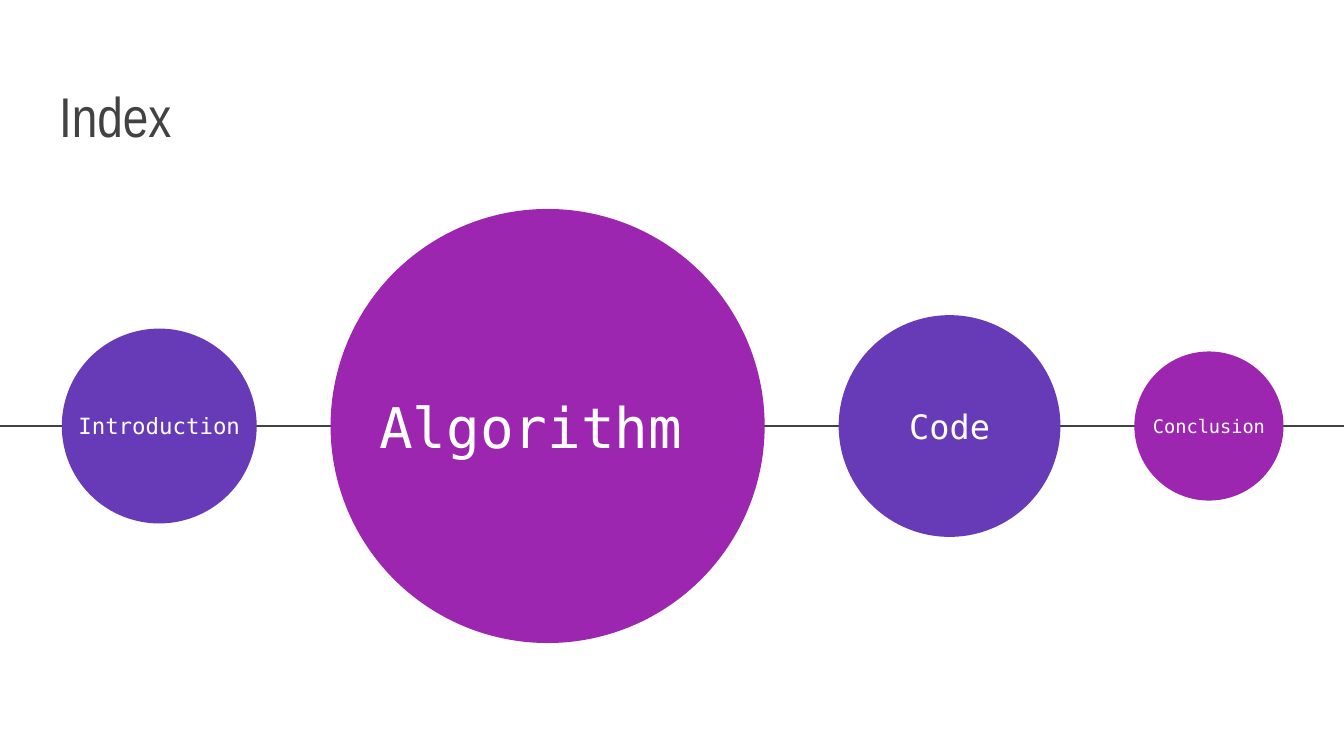
from dataclasses import dataclass

from lxml import etree
from pptx import Presentation
from pptx import util as u
from pptx.dml.color import RGBColor
from pptx.enum import shapes, text
from pptx.oxml.ns import qn


@dataclass(frozen=True)
class Theme:
    ink: str = "424242"
    violet: str = "673AB7"
    magenta: str = "9C26B0"
    paper: str = "FFFFFF"
    title_font: str = "Arial Narrow"
    label_font: str = "DejaVu Sans Mono"
    title_size: int = 30
    axis_width: float = 1.5
    inset: float = 0.1


THEME = Theme()
SLIDE_W = 10
SLIDE_H = SLIDE_W * 9 / 16

# Label, diameter, type size
TOPICS = [
    ("Introduction", 1.45, 12),
    ("Algorithm ", 3.23, 30),
    ("Code", 1.65, 18),
    ("Conclusion", 1.11, 10),
]


def write(frame, words, font, size, color, align, anchor):
    """Fill a text frame with one styled run."""
    frame.word_wrap = True
    frame.auto_size = text.MSO_AUTO_SIZE.NONE
    frame.vertical_anchor = anchor
    frame.margin_left = frame.margin_right = u.Inches(THEME.inset)
    frame.margin_top = frame.margin_bottom = u.Inches(THEME.inset)
    paragraph = frame.paragraphs[0]
    paragraph.alignment = align
    run = paragraph.add_run()
    run.text = words
    run.font.name = font
    run.font.size = u.Pt(size)
    run.font.color.rgb = RGBColor.from_string(color)


def add_title(slide, words, left, top, width, height):
    title = slide.shapes.title
    title.left, title.top = u.Inches(left), u.Inches(top)
    title.width, title.height = u.Inches(width), u.Inches(height)
    write(title.text_frame, words, THEME.title_font, THEME.title_size,
          THEME.ink, text.PP_ALIGN.LEFT, text.MSO_ANCHOR.BOTTOM)


def add_axis(slide, left, right, y):
    axis = slide.shapes.add_connector(
        shapes.MSO_CONNECTOR.STRAIGHT,
        u.Inches(left), u.Inches(y), u.Inches(right), u.Inches(y))
    axis.line.color.rgb = RGBColor.from_string(THEME.ink)
    axis.line.width = u.Pt(THEME.axis_width)
    etree.SubElement(axis._element.spPr, qn("a:effectLst"))


def add_topic(slide, label, size, color, left, middle, diameter):
    """A circle centred on the axis, with its label across it."""
    circle = slide.shapes.add_shape(
        shapes.MSO_SHAPE.OVAL, u.Inches(left), u.Inches(middle - diameter / 2),
        u.Inches(diameter), u.Inches(diameter))
    circle.shadow.inherit = False
    circle.fill.solid()
    circle.fill.fore_color.rgb = RGBColor.from_string(color)
    circle.line.fill.background()

    label_height = 0.66
    caption = slide.shapes.add_textbox(
        u.Inches(left), u.Inches(middle - label_height / 2),
        u.Inches(diameter), u.Inches(label_height))
    write(caption.text_frame, label, THEME.label_font, size, THEME.paper,
          text.PP_ALIGN.CENTER, text.MSO_ANCHOR.MIDDLE)


def add_topic_chain(slide, topics, left, middle, gap):
    """Circles from left to right with equal gaps and alternating colours."""
    for index, (label, diameter, size) in enumerate(topics):
        color = (THEME.violet, THEME.magenta)[index % 2]
        add_topic(slide, label, size, color, left, middle, diameter)
        left += diameter + gap


def main():
    deck = Presentation()
    deck.slide_width, deck.slide_height = u.Inches(SLIDE_W), u.Inches(SLIDE_H)
    slide = deck.slides.add_slide(deck.slide_layouts[5])
    slide.background.fill.solid()
    slide.background.fill.fore_color.rgb = RGBColor.from_string(THEME.paper)

    axis_y = 3.17
    add_axis(slide, 0, SLIDE_W, axis_y)
    add_title(slide, "Index", 0.34, 0.41, 9.32, 0.8)
    add_topic_chain(slide, TOPICS, left=0.46, middle=axis_y, gap=0.55)

    deck.save("out.pptx")


if __name__ == "__main__":
    main()
